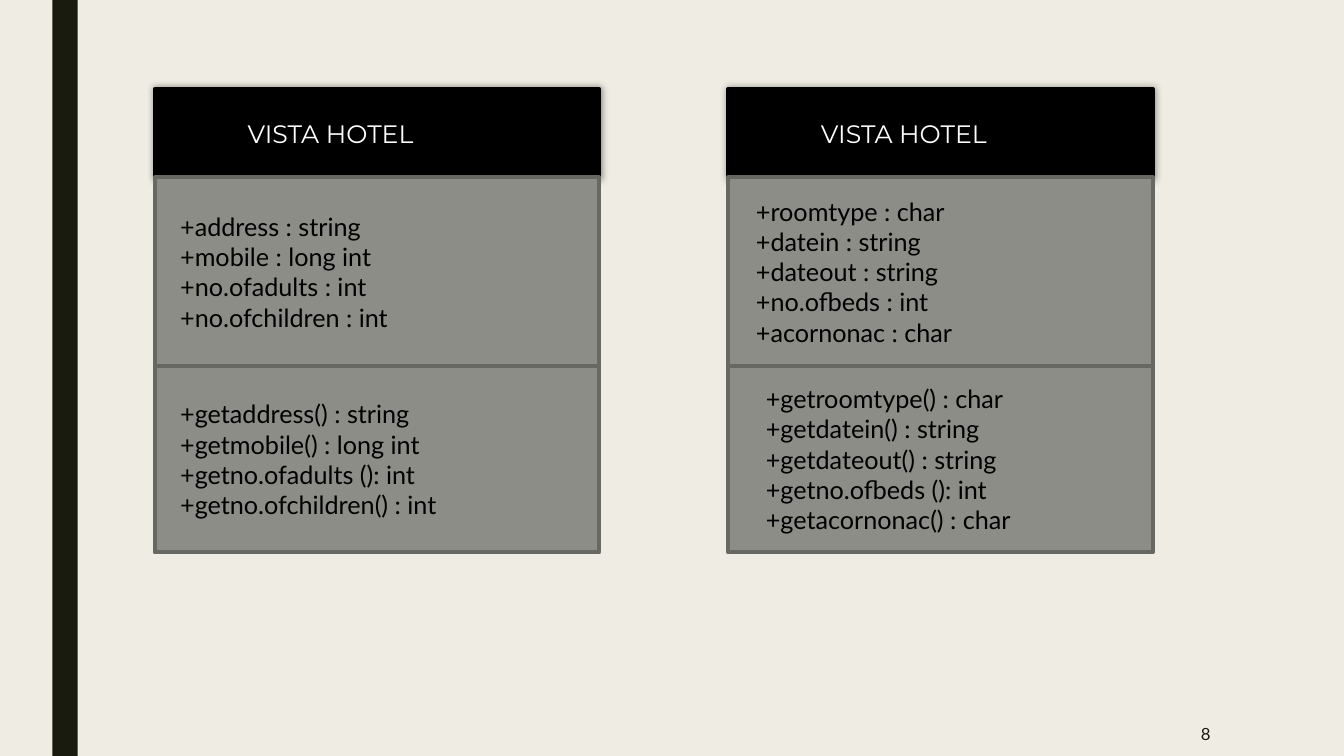
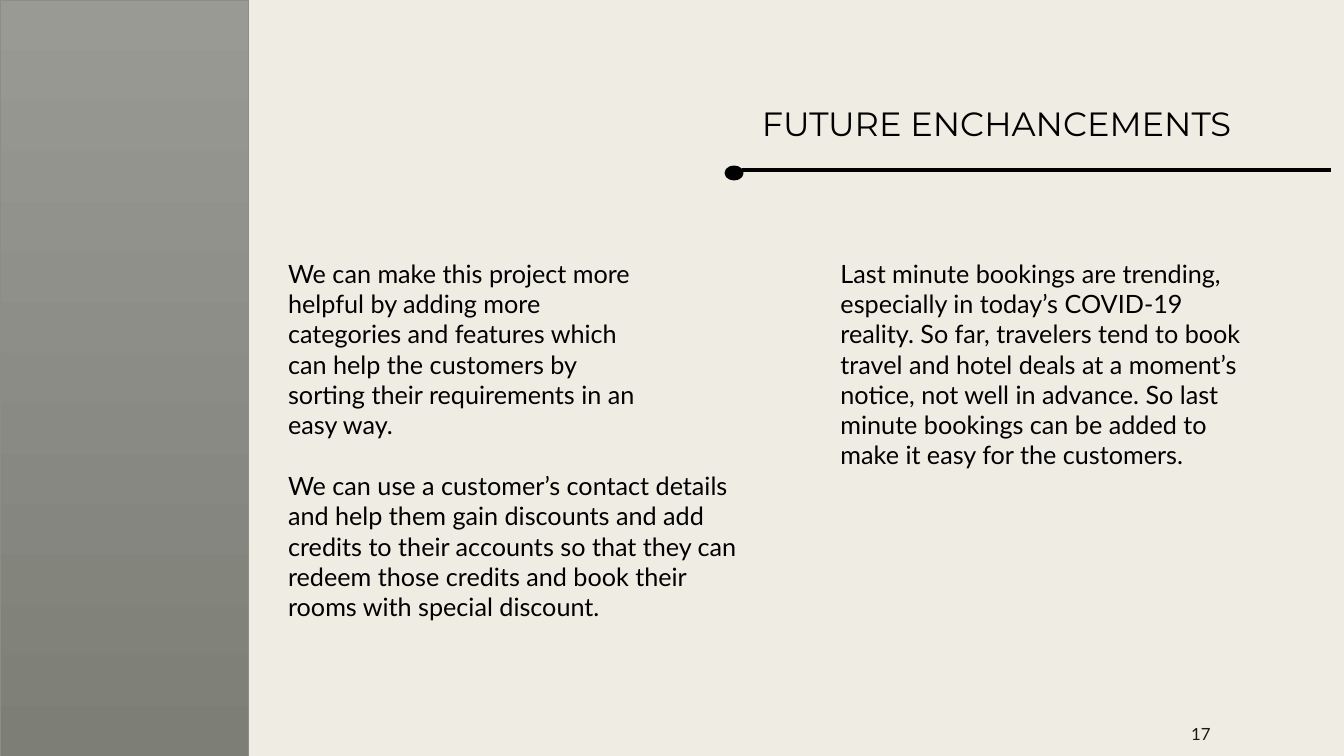
from lxml import etree
from pptx import Presentation
from pptx.dml.color import RGBColor
from pptx.enum import shapes as kinds, text as txt
from pptx.oxml.ns import qn
from pptx.util import Cm, Pt

# Shared look
PAPER, DARK, BLACK, WHITE = "EFEDE3", "191B0E", "000000", "FFFFFF"
GREY, EDGE = "8C8D86", "686863"
HEAD, BODY = "Montserrat", "Lato"
WIDE, HIGH = 33.87, 19.05
RECT = kinds.MSO_SHAPE.RECTANGLE
TOP, MID = txt.MSO_ANCHOR.TOP, txt.MSO_ANCHOR.MIDDLE
LEFT, RIGHT = txt.PP_ALIGN.LEFT, txt.PP_ALIGN.RIGHT


def rgb(code):
    return RGBColor.from_string(code)


def place(shape, box):
    shape.left, shape.top, shape.width, shape.height = map(Cm, box)


def paint(shape, fill, edge=None, width=2.75):
    """Flat fill, with a border or none, and no shadow."""
    shape.shadow.inherit = False
    shape.fill.solid()
    shape.fill.fore_color.rgb = rgb(fill)
    if edge:
        shape.line.color.rgb = rgb(edge)
        shape.line.width = Pt(width)
    else:
        shape.line.fill.background()


def glow(shape):
    """Soft dark shadow on all sides."""
    effects = shape.element.spPr.find(qn("a:effectLst"))
    shade = etree.SubElement(effects, qn("a:outerShdw"), blurRad=str(Pt(5)),
                             dist="0", algn="ctr", rotWithShape="0")
    color = etree.SubElement(shade, qn("a:srgbClr"), val=BLACK)
    etree.SubElement(color, qn("a:alpha"), val="40000")


def write(shape, lines, font=BODY, size=18, color=BLACK, align=LEFT,
          anchor=TOP, inset=0.25):
    """One plain paragraph for each line."""
    frame = shape.text_frame
    frame.word_wrap = True
    frame.auto_size = txt.MSO_AUTO_SIZE.NONE
    frame.vertical_anchor = anchor
    frame.margin_left, frame.margin_right = Cm(inset), Cm(0.25)
    for i, line in enumerate(lines):
        para = frame.add_paragraph() if i else frame.paragraphs[0]
        para.alignment = align
        para.space_before = Pt(0)
        props = para._p.get_or_add_pPr()
        props.set("marL", "0")
        props.set("indent", "0")
        etree.SubElement(props, qn("a:buNone"))
        run = para.add_run()
        run.text = line
        run.font.name, run.font.size = font, Pt(size)
        run.font.bold = False
        run.font.color.rgb = rgb(color)


def block(slide, box):
    return slide.shapes.add_shape(RECT, *map(Cm, box))


def label(slide, box, lines, **style):
    shape = slide.shapes.add_textbox(*map(Cm, box))
    write(shape, lines, **style)


def number(slide, value):
    label(slide, (26.31, 17.93, 4.45, 1.12), [value], size=12, color=DARK,
          align=RIGHT, anchor=MID)


def header(shape, name):
    """Black name bar of a class."""
    paint(shape, BLACK, BLACK)
    glow(shape)
    write(shape, [name], font=HEAD, color=WHITE, anchor=MID, inset=2.34)


def part(shape, box, lines, inset):
    """Grey compartment of a class."""
    place(shape, box)
    paint(shape, GREY, EDGE)
    write(shape, lines, anchor=MID, inset=inset)


def master(prs, slide):
    """Background and dark band for every slide."""
    base = prs.slide_master
    base.background.fill.solid()
    base.background.fill.fore_color.rgb = rgb(PAPER)
    band = block(slide, (1.32, 0, 0.64, HIGH))
    paint(band, DARK)
    base.shapes.element.insert(2, band.element)


def classes(slide):
    """Two class diagrams side by side."""
    holders = list(slide.placeholders)
    name = "VISTA HOTEL"
    bar = (2.24, 2.24)
    rows = [(4.47, 4.75), (9.22, 4.7)]
    cols = [
        (3.9, 11.2, [
            (0.64, ["+address : string", "+mobile : long int",
                    "+no.ofadults : int", "+no.ofchildren : int"]),
            (0.64, ["+getaddress() : string", "+getmobile() : long int",
                    "+getno.ofadults (): int",
                    "+getno.ofchildren() : int"])]),
        (18.35, 10.7, [
            (0.7, ["+roomtype : char", "+datein : string",
                   "+dateout : string", "+no.ofbeds : int",
                   "+acornonac : char"]),
            (0.95, ["+getroomtype() : char", "+getdatein() : string",
                    "+getdateout() : string", "+getno.ofbeds (): int",
                    "+getacornonac() : char"])]),
    ]
    slots = iter(holders[1:])
    for left, width, parts in cols:
        for (top, high), (inset, lines) in zip(rows, parts):
            part(next(slots), (left, top, width, high), lines, inset)

    # The first name bar is the title, the second lies behind its parts
    (first, span, _), (second, room, _) = cols
    place(holders[0], (first, bar[0], span, bar[1]))
    header(holders[0], name)
    twin = block(slide, (second, bar[0], room, bar[1]))
    header(twin, name)
    slide.shapes.element.insert(2, twin.element)
    number(slide, "8")


def future(slide):
    """Title with rule, side panel and three paragraphs."""
    title, near, far = slide.placeholders
    place(title, (18.95, 2.46, 13.69, 1.27))
    write(title, ["FUTURE ENCHANCEMENTS"], font=HEAD, size=24)
    place(near, (7.01, 6.38, 9.6, 4.11))
    write(near, ["We can make this project more helpful by adding more "
                 "categories and features which can help the customers by "
                 "sorting their requirements in an easy way."])
    place(far, (20.93, 6.38, 10.77, 5.64))
    write(far, ["Last minute bookings are trending, especially in today’s "
                "COVID-19 reality. So far, travelers tend to book travel and "
                "hotel deals at a moment’s notice, not well in advance. So "
                "last minute bookings can be added to make it easy for the "
                "customers."])
    label(slide, (7.01, 11.73, 11.96, 4.11),
          ["We can use a customer’s contact details and help them gain "
           "discounts and add credits to their accounts so that they can "
           "redeem those credits and book their rooms with special discount."])

    # Side panel
    panel = block(slide, (0, 0, 6.27, HIGH))
    paint(panel, GREY, GREY, 0.5)
    panel.fill.gradient()
    panel.fill.gradient_angle = 270
    for stop, code in zip(panel.fill.gradient_stops, ("999A94", "7D7E76")):
        stop.color.rgb = rgb(code)

    # Rule with a dot at its start
    rule = slide.shapes.add_connector(
        kinds.MSO_CONNECTOR.STRAIGHT, *map(Cm, (33.53, 4.29, 18.69, 4.29)))
    rule.line.color.rgb = rgb(BLACK)
    rule.line.width = Pt(2.75)
    etree.SubElement(rule.element.spPr, qn("a:effectLst"))
    dot = slide.shapes.add_shape(kinds.MSO_SHAPE.OVAL,
                                 *map(Cm, (18.31, 4.22, 0.38, 0.28)))
    paint(dot, BLACK, BLACK)
    number(slide, "17")


def main():
    prs = Presentation()
    prs.slide_width, prs.slide_height = Cm(WIDE), Cm(HIGH)
    pair, versus = prs.slide_layouts[3], prs.slide_layouts[4]
    first = prs.slides.add_slide(versus)
    master(prs, first)
    classes(first)
    future(prs.slides.add_slide(pair))
    prs.save("out.pptx")


if __name__ == "__main__":
    main()
